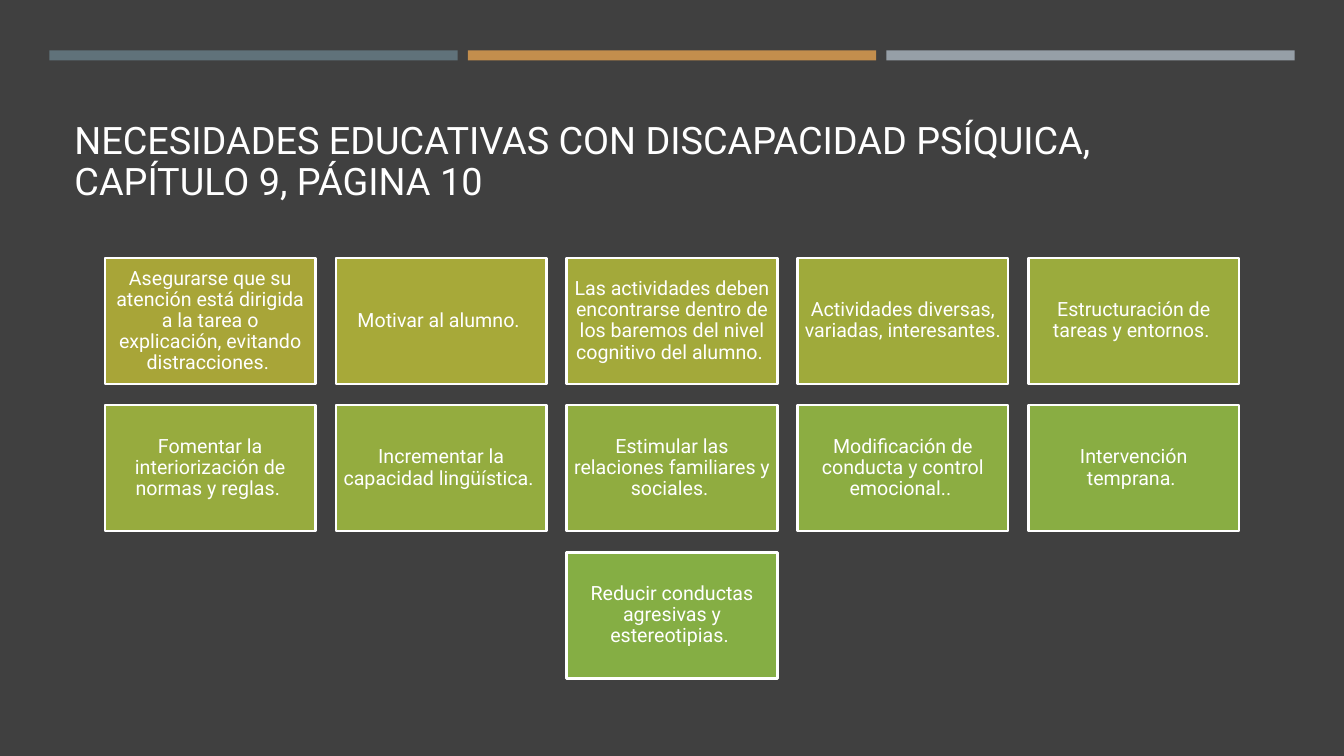
"""Build the slide on educational needs: title, three accent bars, card grid."""
from dataclasses import dataclass

import pptx
import pptx.dml.color
import pptx.enum.shapes
import pptx.enum.text
import pptx.util

WIDTH, HEIGHT = 13.33, 7.5
FONT, WHITE, BACKDROP = "Roboto", "FFFFFF", "404040"
BAR_LEFT, BAR_TOP, BAR_WIDTH, BAR_HEIGHT, BAR_PITCH = 0.49, 0.5, 4.05, 0.1, 4.15
BAR_COLORS = ("60727A", "C38E4D", "969FA7")
TITLE = "NECESIDADES EDUCATIVAS CON DISCAPACIDAD PSÍQUICA, CAPÍTULO 9, PÁGINA 10"
GRID_LEFT, GRID_TOP = 1.04, 2.56
COL_PITCH, ROW_PITCH = 2.29, 1.46
CARD_WIDTH, CARD_HEIGHT = 2.09, 1.25


@dataclass(frozen=True)
class Box:
    """A rectangle in inches."""
    left: float
    top: float
    width: float
    height: float

    def emu(self) -> tuple:
        """Return the four lengths as python-pptx arguments."""
        return tuple(map(pptx.util.Inches,
                         (self.left, self.top, self.width, self.height)))


@dataclass(frozen=True)
class Card:
    """One need, placed by its grid column and row."""
    col: int
    row: int
    color: str
    text: str

    def box(self) -> Box:
        """Return the card's rectangle on the grid."""
        return Box(GRID_LEFT + self.col * COL_PITCH, GRID_TOP + self.row * ROW_PITCH,
                   CARD_WIDTH, CARD_HEIGHT)


CARDS = (
    Card(0, 0, "A8A538", "Asegurarse que su atención está dirigida a la tarea o "
                         "explicación, evitando distracciones. "),
    Card(1, 0, "A7A939", "Motivar al alumno. "),
    Card(2, 0, "A3A93A", "Las actividades deben encontrarse dentro de los baremos "
                         "del nivel cognitivo del alumno. "),
    Card(3, 0, "9FAA3B", "Actividades diversas, variadas, interesantes. "),
    Card(4, 0, "9BAB3D", "Estructuración de tareas y entornos. "),
    Card(0, 1, "97AB3E", "Fomentar la interiorización de normas y reglas. "),
    Card(1, 1, "94AC3F", "Incrementar la capacidad lingüística. "),
    Card(2, 1, "90AC40", "Estimular las relaciones familiares y sociales. "),
    Card(3, 1, "8CAD42", "Modificación de conducta y control emocional.. "),
    Card(4, 1, "89AD43", "Intervención temprana. "),
    Card(2, 2, "85AE44", "Reducir conductas agresivas y estereotipias. "),
)


def rgb(color: str) -> pptx.dml.color.RGBColor:
    """Turn a hex string into a colour."""
    return pptx.dml.color.RGBColor.from_string(color)


def add_rect(s, box: Box, color: str):
    """Draw a plain filled rectangle without a line."""
    sp = s.shapes.add_shape(pptx.enum.shapes.MSO_SHAPE.RECTANGLE, *box.emu())
    sp.shadow.inherit = False
    sp.fill.solid()
    sp.fill.fore_color.rgb = rgb(color)
    sp.line.fill.background()
    return sp


def set_text(tf, text: str, size: float, align, anchor) -> None:
    """Write one wrapped white paragraph."""
    tf.text = text
    tf.word_wrap = True
    tf.vertical_anchor = anchor
    p = tf.paragraphs[0]
    p.alignment = align
    p.line_spacing = 0.9
    r = p.runs[0]
    r.font.name = FONT
    r.font.size = pptx.util.Pt(size)
    r.font.color.rgb = rgb(WHITE)


def add_title(s) -> None:
    """Add the slide's heading."""
    sp = s.shapes.add_textbox(*Box(0.64, 0.77, 12.06, 1.3).emu())
    set_text(sp.text_frame, TITLE, 27, pptx.enum.text.PP_ALIGN.LEFT,
             pptx.enum.text.MSO_ANCHOR.BOTTOM)


def add_card(s, card: Card) -> None:
    """Draw a white-edged card with centred text."""
    sp = add_rect(s, card.box(), card.color)
    sp.line.color.rgb = rgb(WHITE)
    sp.line.width = pptx.util.Pt(1.75)
    tf = sp.text_frame
    tf.margin_left = tf.margin_right = pptx.util.Inches(0.06)
    tf.margin_top = tf.margin_bottom = pptx.util.Inches(0.06)
    set_text(tf, card.text, 14, pptx.enum.text.PP_ALIGN.CENTER,
             pptx.enum.text.MSO_ANCHOR.MIDDLE)


def main() -> None:
    """Build and save the presentation."""
    prs = pptx.Presentation()
    prs.slide_width = pptx.util.Inches(WIDTH)
    prs.slide_height = pptx.util.Inches(HEIGHT)
    s = prs.slides.add_slide(prs.slide_layouts[6])
    add_rect(s, Box(0, 0, WIDTH, HEIGHT), BACKDROP)
    add_title(s)
    for i, color in enumerate(BAR_COLORS):
        add_rect(s, Box(BAR_LEFT + i * BAR_PITCH, BAR_TOP, BAR_WIDTH, BAR_HEIGHT), color)
    for card in CARDS:
        add_card(s, card)
    prs.save("out.pptx")


main()
